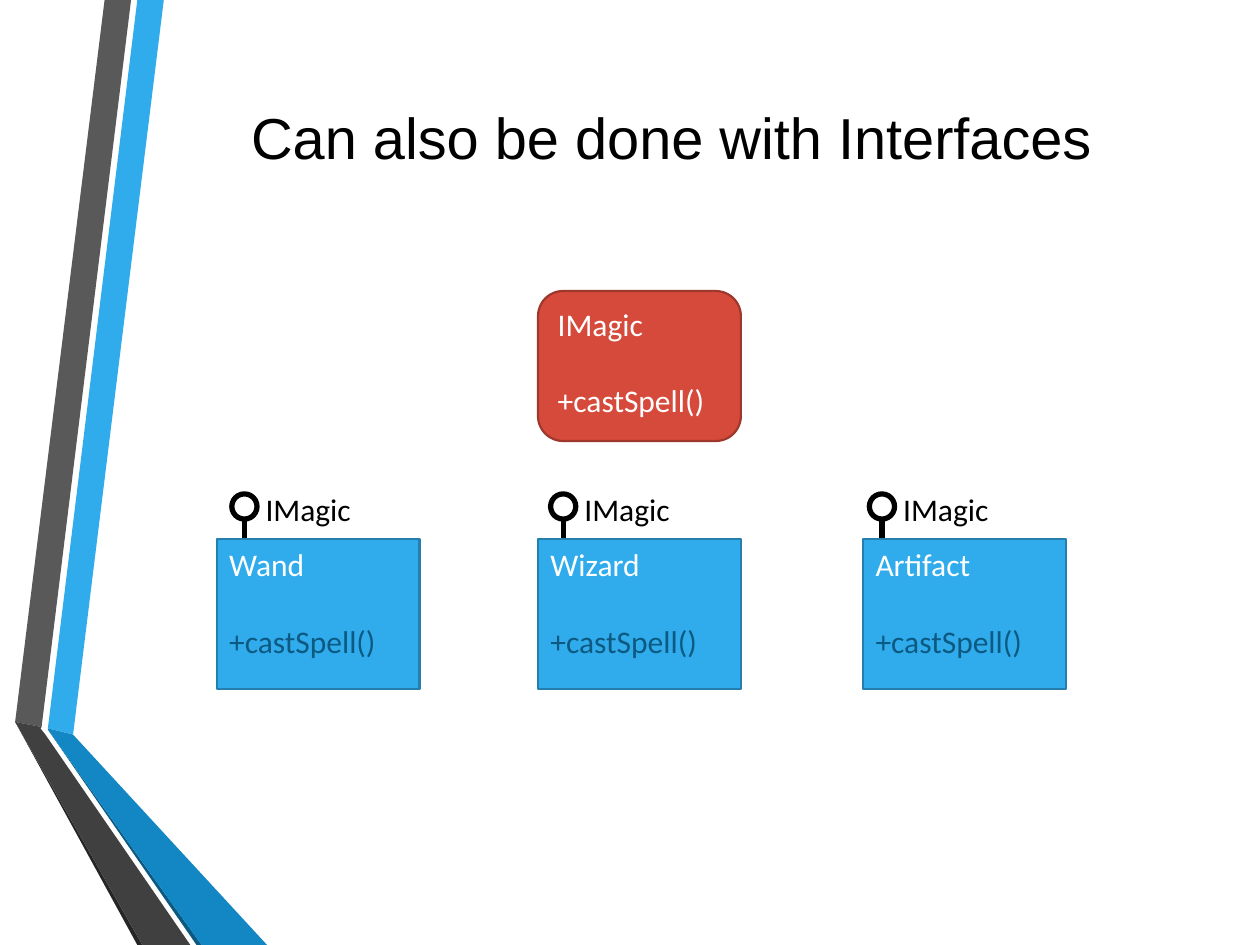
from pptx import Presentation
from pptx.dml.color import RGBColor
from pptx.enum.shapes import MSO_CONNECTOR, MSO_SHAPE
from pptx.enum.text import MSO_ANCHOR as ANCHOR, MSO_AUTO_SIZE as AUTO, PP_ALIGN as ALIGN
from pptx.oxml.ns import qn
from pptx.util import Inches, Pt

BLACK = RGBColor(0x00, 0x00, 0x00)
WHITE = RGBColor(0xFF, 0xFF, 0xFF)
BLUE = RGBColor(0x30, 0xAC, 0xEC)
MID_BLUE = RGBColor(0x12, 0x87, 0xC3)
DEEP_BLUE = RGBColor(0x0C, 0x5A, 0x82)
BLUE_EDGE = RGBColor(0x24, 0x7F, 0xAF)
RED = RGBColor(0xD6, 0x4A, 0x3B)
RED_EDGE = RGBColor(0x9E, 0x37, 0x2C)
GRAY = RGBColor(0x59, 0x59, 0x59)
DARK_GRAY = RGBColor(0x40, 0x40, 0x40)
SHADOW_GRAY = RGBColor(0x26, 0x26, 0x26)

BOX_W, BOX_H = 1.61, 1.19
PIN_SIZE = 0.2

RIBBONS = [
    (BLUE, [(0.38, 5.78), (0.58, 5.83), (1.3, 0), (1.09, 0)]),
    (GRAY, [(1.04, 0), (0.83, 0), (0.12, 5.73), (0.33, 5.77)]),
    (SHADOW_GRAY, [(0.12, 5.73), (1.09, 7.5), (1.13, 7.5)]),
    (DEEP_BLUE, [(0.38, 5.79), (1.56, 7.5), (1.6, 7.5)]),
    (MID_BLUE, [(0.38, 5.79), (1.6, 7.5), (2.12, 7.5), (0.58, 5.83), (0.38, 5.78)]),
    (DARK_GRAY, [(1.51, 7.5), (0.36, 5.83), (0.32, 5.78), (0.33, 5.77),
                 (0.12, 5.73), (1.13, 7.5)]),
]
CLASSES = [("Wand", 1.72, 1.94), ("Wizard", 4.27, 4.47), ("Artifact", 6.85, 7)]


def add_run(p, text, size, color, font="Calibri"):
    """Add one formatted run to a paragraph."""
    r = p.add_run()
    r.text = text
    r.font.size = Pt(size)
    r.font.name = font
    r.font.color.rgb = color


def add_ribbons(slide):
    """Draw the folded ribbons along the left edge."""
    for color, points in RIBBONS:
        start, *rest = [(Inches(x), Inches(y)) for x, y in points]
        builder = slide.shapes.build_freeform(*start)
        builder.add_line_segments(rest, close=True)
        sp = builder.convert_to_shape()
        sp.shadow.inherit = False
        sp.fill.solid()
        sp.fill.fore_color.rgb = color
        sp.line.fill.background()


def add_title(slide, left, top, width, height):
    """Place and format the title."""
    sp = slide.shapes.title
    sp.left, sp.top = Inches(left), Inches(top)
    sp.width, sp.height = Inches(width), Inches(height)
    tf = sp.text_frame
    tf.vertical_anchor = ANCHOR.MIDDLE
    p = tf.paragraphs[0]
    p.alignment = ALIGN.CENTER
    add_run(p, "Can also be done with Interfaces", 33, BLACK, "Arial")


def add_class_box(slide, preset, left, top, name, fill, edge, method_color):
    """Draw a class box with its name and its method."""
    sp = slide.shapes.add_shape(preset, Inches(left), Inches(top), Inches(BOX_W), Inches(BOX_H))
    sp.shadow.inherit = False
    sp.fill.solid()
    sp.fill.fore_color.rgb = fill
    sp.line.color.rgb = edge
    sp.line.width = Pt(1.25)
    tf = sp.text_frame
    tf.word_wrap = True
    tf.vertical_anchor = ANCHOR.TOP
    p = tf.paragraphs[0]
    p.alignment = ALIGN.LEFT
    add_run(p, name, 18, WHITE)
    p = tf.add_paragraph()
    p.alignment = ALIGN.LEFT
    p.space_before = Pt(22)
    add_run(p, "+castSpell()", 18, method_color)


def add_interface_pin(slide, center, box_top):
    """Draw a labelled interface pin standing on a class box."""
    top = box_top - 0.36
    bottom = top + PIN_SIZE
    sp = slide.shapes.add_shape(MSO_SHAPE.OVAL, Inches(center - PIN_SIZE / 2), Inches(top),
                                Inches(PIN_SIZE), Inches(PIN_SIZE))
    sp.shadow.inherit = False
    sp.fill.background()
    stem = slide.shapes.add_connector(MSO_CONNECTOR.STRAIGHT, Inches(center), Inches(bottom),
                                      Inches(center), Inches(box_top))
    stem._element.spPr.append(stem._element.spPr.makeelement(qn("a:effectLst"), {}))
    for part in (sp, stem):
        part.line.color.rgb = BLACK
        part.line.width = Pt(3)
    label = slide.shapes.add_textbox(Inches(center + 0.07), Inches(top - 0.08),
                                     Inches(0.9), Inches(0.4))
    tf = label.text_frame
    tf.word_wrap = False
    tf.auto_size = AUTO.SHAPE_TO_FIT_TEXT
    add_run(tf.paragraphs[0], "IMagic", 18, BLACK)


def main():
    """Build the slide and save it."""
    prs = Presentation()
    prs.slide_width, prs.slide_height = Inches(10), Inches(7.5)
    slide = prs.slides.add_slide(prs.slide_layouts[5])
    add_ribbons(slide)
    add_title(slide, 1.22, 0.52, 8.22, 1.12)
    add_class_box(slide, MSO_SHAPE.ROUNDED_RECTANGLE, 4.27, 2.31, "IMagic", RED, RED_EDGE, WHITE)
    class_top = 4.28
    for name, left, pin in CLASSES:
        add_interface_pin(slide, pin, class_top)
        add_class_box(slide, MSO_SHAPE.RECTANGLE, left, class_top, name,
                      BLUE, BLUE_EDGE, DEEP_BLUE)
    prs.save("out.pptx")


if __name__ == "__main__":
    main()
